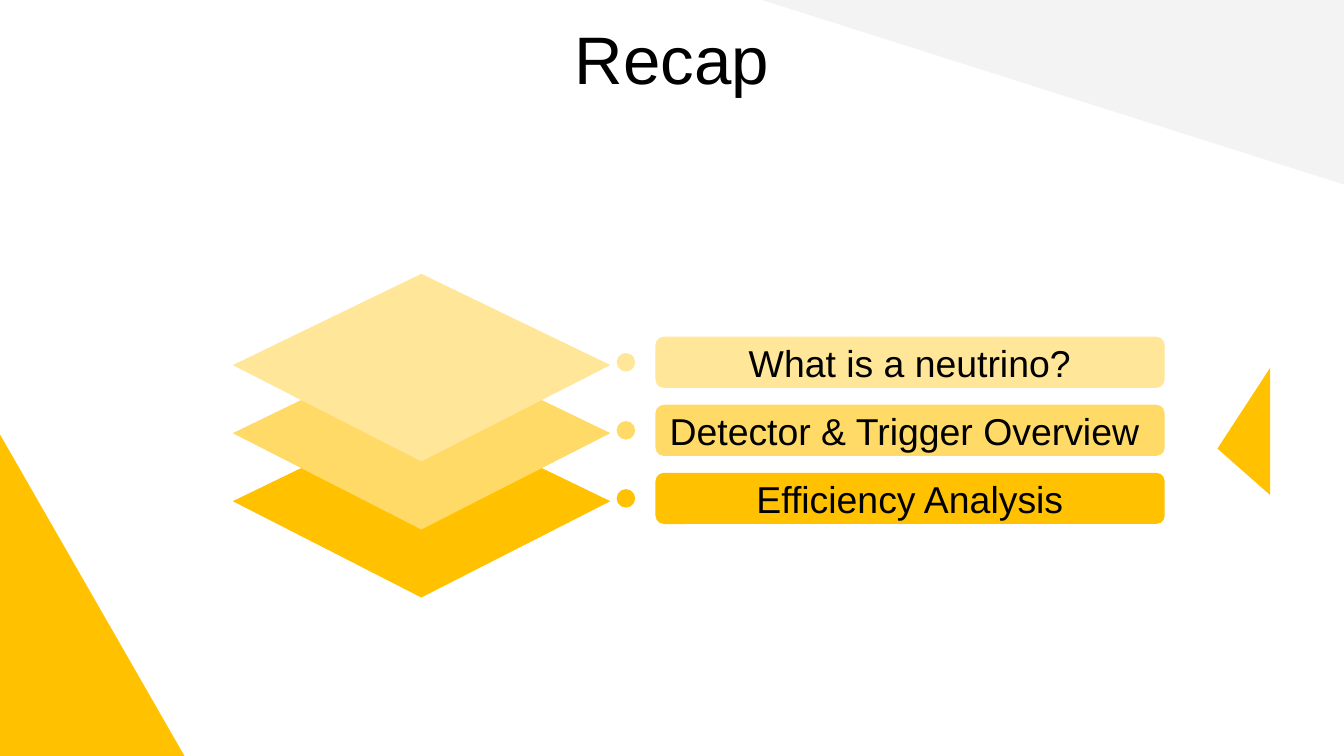
from dataclasses import dataclass

from pptx import Presentation
from pptx.dml.color import RGBColor
from pptx.enum.shapes import MSO_SHAPE
from pptx.enum.text import MSO_ANCHOR, PP_ALIGN
from pptx.util import Pt


@dataclass(frozen=True)
class Theme:
    font: str = "Arial"
    text: str = "000000"
    gray: str = "F3F3F3"
    amber: str = "FFC100"
    yellow: str = "FFDA66"
    cream: str = "FFE699"
    title_size: float = 48
    label_size: float = 26.7


theme = Theme()


def paint(shape, color):
    shape.shadow.inherit = False
    shape.fill.solid()
    shape.fill.fore_color.rgb = RGBColor.from_string(color)
    shape.line.fill.background()


def write_centered(shape, text, size):
    paragraph = shape.text_frame.paragraphs[0]
    paragraph.alignment = PP_ALIGN.CENTER
    run = paragraph.add_run()
    run.text = text
    run.font.name = theme.font
    run.font.size = Pt(size)
    run.font.color.rgb = RGBColor.from_string(theme.text)


presentation = Presentation()
presentation.slide_width = Pt(960)
presentation.slide_height = Pt(540)
slide = presentation.slides.add_slide(presentation.slide_layouts[6])
shapes = slide.shapes

# Background triangles
top_corner = shapes.add_shape(
    MSO_SHAPE.RIGHT_TRIANGLE, Pt(544.3), Pt(0), Pt(415.7), Pt(131.8))
top_corner.rotation = 180
paint(top_corner, theme.gray)

bottom_corner = shapes.add_shape(
    MSO_SHAPE.RIGHT_TRIANGLE, Pt(0), Pt(310.3), Pt(131.8), Pt(229.7))
paint(bottom_corner, theme.amber)

side_triangle = shapes.add_shape(
    MSO_SHAPE.ISOSCELES_TRIANGLE, Pt(843.1), Pt(289.4), Pt(90.7), Pt(37.6))
side_triangle.adjustments[0] = 0.365
side_triangle.rotation = 270
paint(side_triangle, theme.amber)

# Title
title = shapes.add_textbox(Pt(54.7), Pt(0), Pt(850.3), Pt(60.5))
title.text_frame.word_wrap = True
title.text_frame.margin_top = Pt(12.3)
write_centered(title, "Recap", theme.title_size)

# Stacked layers, lowest first so that each one covers the layer below
layers = [
    ("Efficiency Analysis", theme.amber),
    ("Detector & Trigger Overview ", theme.yellow),
    ("What is a neutrino?", theme.cream),
]
layer_step = 48.6
for level, (label, color) in enumerate(layers):
    rise = level * layer_step

    top = 292.8 - rise
    builder = shapes.build_freeform(Pt(301), Pt(top))
    builder.add_line_segments([
        (Pt(166.3), Pt(top + 65.2)),
        (Pt(301), Pt(top + 134)),
        (Pt(436), Pt(top + 65.2)),
    ], close=True)
    paint(builder.convert_to_shape(), color)

    dot = shapes.add_shape(
        MSO_SHAPE.OVAL, Pt(440.5), Pt(349.4 - rise), Pt(13.2), Pt(13.2))
    paint(dot, color)

    bar = shapes.add_shape(
        MSO_SHAPE.ROUNDED_RECTANGLE, Pt(468.2), Pt(337.7 - rise), Pt(363.8), Pt(36.6))
    paint(bar, color)
    bar.text_frame.word_wrap = True
    bar.text_frame.vertical_anchor = MSO_ANCHOR.MIDDLE
    write_centered(bar, label, theme.label_size)

presentation.save("out.pptx")
